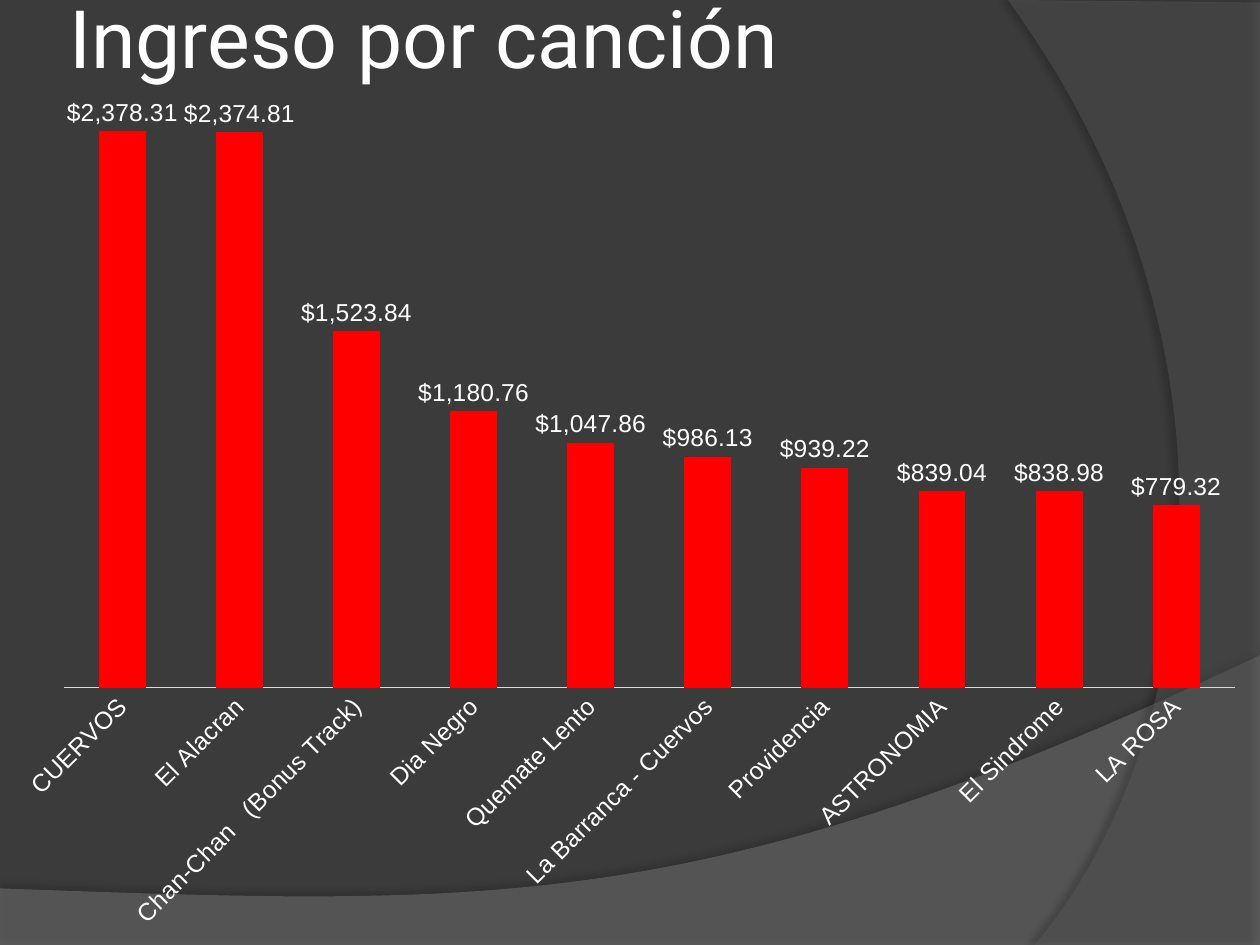
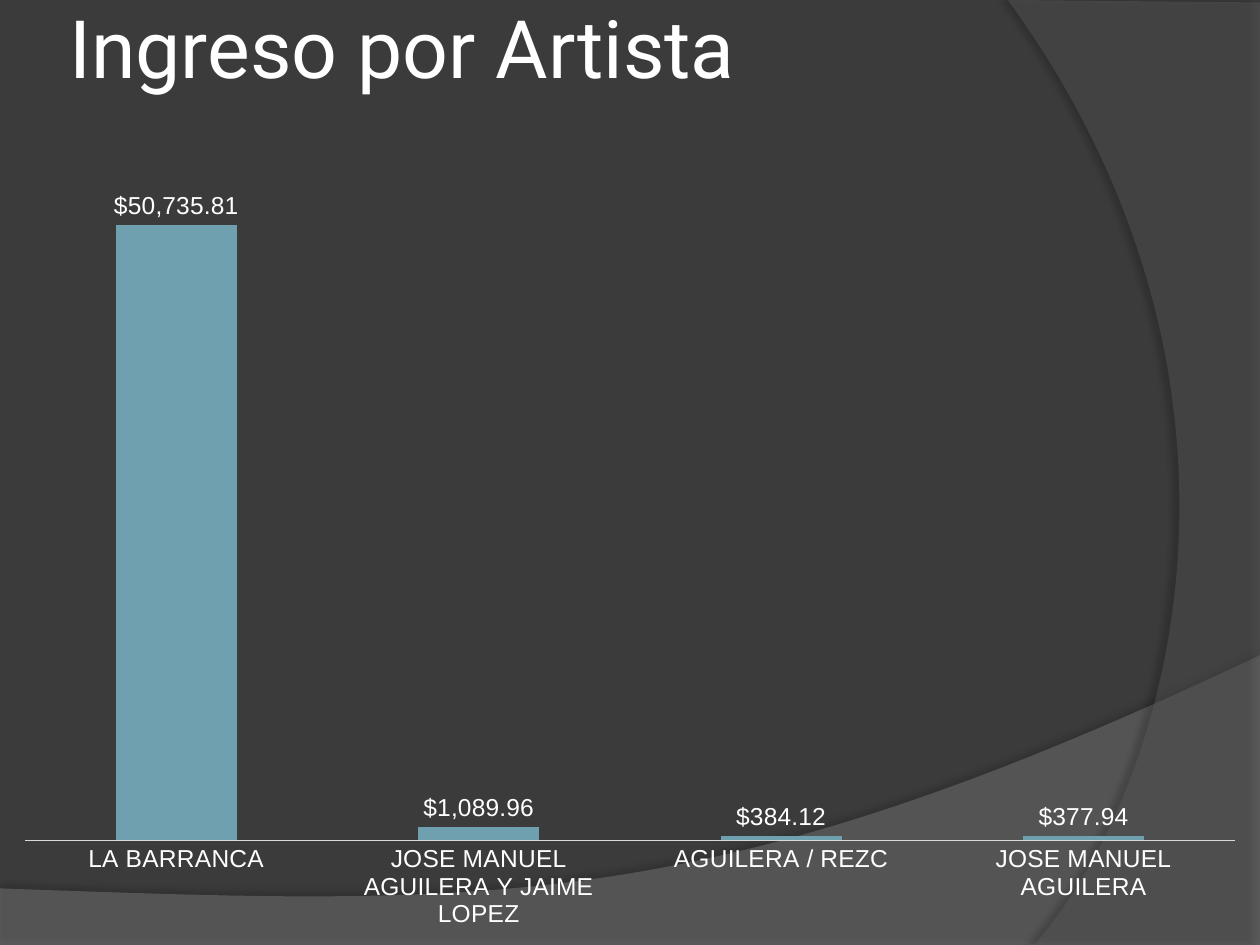
"""Build two income slides: one column chart by song and one by artist."""
from dataclasses import dataclass

from lxml import etree
from pptx import Presentation
from pptx import util as u
from pptx.chart.data import CategoryChartData
from pptx.dml.color import RGBColor
from pptx.enum import chart as ch, text
from pptx.oxml import ns

WIDTH, HEIGHT = 25.4, 19.05
BACK, WHITE, AXIS = "3B3B3B", "FFFFFF", "D9D9D9"
MONEY = '"$"#,##0.00'
CURVE_STEPS = 60
Point = tuple[float, float]


@dataclass(frozen=True)
class Band:
    """Translucent background band: corners, then a Bezier from the last corner."""
    corners: tuple[Point, ...]
    curve: tuple[Point, Point, Point]
    color: str
    opacity: int
    shadow_opacity: int
    shadow_distance: float
    shadow_angle: int


@dataclass(frozen=True)
class IncomeSlide:
    """Title and column chart of one slide, with lengths in centimetres."""
    title: str
    title_top: float
    title_width: float
    chart_top: float
    color: str
    axis_max: int
    label_angle: int
    income: dict[str, float]


BANDS = (
    Band(((0, 17.91), (0, 19.08), (25.4, 19.08), (25.4, 13.21)),
         ((14.2, 18.52), (9.93, 18.26), (0, 17.91)), "7F7F7F", 45, 35, 3.5, 270),
    Band(((25.4, 0.05), (25.4, 19.05), (20.85, 19.05)),
         ((23.75, 15.72), (25.86, 7.62), (20.32, 0)), "5E5E5E", 40, 45, 4, 180),
)

SLIDES = (
    IncomeSlide("Ingreso por canción", -0.86, 22.86, 1.73, "FF0000", 2500, -45, {
        "CUERVOS": 2378.31,
        "El Alacran": 2374.81,
        "Chan-Chan   (Bonus Track)": 1523.84,
        "Dia Negro": 1180.76,
        "Quemate Lento": 1047.86,
        "La Barranca - Cuervos": 986.13,
        "Providencia": 939.22,
        "ASTRONOMIA": 839.04,
        "El Sindrome": 838.98,
        "LA ROSA": 779.32,
    }),
    IncomeSlide("Ingreso por Artista", -0.66, 20.75, 1.93, "6EA0B0", 60000, 0, {
        "LA BARRANCA": 50735.81,
        "JOSE MANUEL AGUILERA Y JAIME LOPEZ": 1089.96,
        "AGUILERA / REZC": 384.12,
        "JOSE MANUEL AGUILERA": 377.94,
    }),
)


def rgb(color: str) -> RGBColor:
    """Turn a hex string into a colour."""
    return RGBColor.from_string(color)


def apply(target, **values) -> None:
    """Set each given attribute on the target."""
    for name, value in values.items():
        setattr(target, name, value)


def set_font(font, size: float, name: str) -> None:
    """Format a font in the shared text colour."""
    apply(font, size=u.Pt(size), name=name, bold=False)
    font.color.rgb = rgb(WHITE)


def add_alpha(color, percent: int) -> None:
    """Give a colour element its opacity."""
    etree.SubElement(color, ns.qn("a:alpha"), val=str(percent * 1000))


def bezier(start: Point, curve: tuple[Point, Point, Point]) -> list[Point]:
    """Sample a cubic Bezier at equal parameter steps."""
    points = []
    for i in range(1, CURVE_STEPS + 1):
        t = i / CURVE_STEPS
        weights = ((1 - t) ** 3, 3 * t * (1 - t) ** 2, 3 * t * t * (1 - t), t ** 3)
        points.append(tuple(sum(w * p[axis] for w, p in zip(weights, (start, *curve)))
                            for axis in (0, 1)))
    return points


def add_band(s, band: Band) -> None:
    """Draw a band behind the slide title."""
    outline = [*band.corners, *bezier(band.corners[-1], band.curve)]
    start, *rest = [(u.Cm(x), u.Cm(y)) for x, y in outline]
    builder = s.shapes.build_freeform(*start)
    builder.add_line_segments(rest, close=True)
    sp = builder.convert_to_shape()
    sp.fill.solid()
    sp.fill.fore_color.rgb = rgb(band.color)
    sp.line.fill.background()
    sp.shadow.inherit = False
    props = sp.element.spPr
    add_alpha(props.find(ns.qn("a:solidFill"))[0], band.opacity)
    shadow = etree.SubElement(
        props.find(ns.qn("a:effectLst")), ns.qn("a:outerShdw"),
        blurRad=str(u.Pt(4)), dist=str(u.Pt(band.shadow_distance)),
        dir=str(band.shadow_angle * 60000), algn="ctr", rotWithShape="0")
    add_alpha(etree.SubElement(shadow, ns.qn("a:srgbClr"), val="000000"),
              band.shadow_opacity)
    s.shapes.title.element.addprevious(sp.element)


def set_title(s, item: IncomeSlide) -> None:
    """Place and format the title placeholder."""
    sp = s.shapes.title
    apply(sp, left=u.Cm(1.27), top=u.Cm(item.title_top),
          width=u.Cm(item.title_width), height=u.Cm(3.18))
    tf = sp.text_frame
    inset = u.Cm(0.13)
    apply(tf, text=item.title, word_wrap=True, auto_size=text.MSO_AUTO_SIZE.NONE,
          vertical_anchor=text.MSO_ANCHOR.MIDDLE, margin_left=inset,
          margin_right=inset, margin_top=inset, margin_bottom=inset)
    p = tf.paragraphs[0]
    p.alignment = text.PP_ALIGN.LEFT
    set_font(p.runs[0].font, 46, "Roboto")


def add_income_chart(s, item: IncomeSlide) -> None:
    """Add the column chart with money labels above its columns."""
    data = CategoryChartData(number_format=MONEY)
    data.categories = list(item.income)
    data.add_series("Series 1", list(item.income.values()))
    chart = s.shapes.add_chart(
        ch.XL_CHART_TYPE.COLUMN_CLUSTERED, 0, u.Cm(item.chart_top),
        u.Cm(WIDTH), u.Cm(HEIGHT - item.chart_top), data).chart
    apply(chart, has_title=False, has_legend=False)
    set_font(chart.font, 10, "Arial")

    apply(chart.value_axis, minimum_scale=0, maximum_scale=item.axis_max,
          has_major_gridlines=False, visible=False)
    axis = chart.category_axis
    apply(axis, major_tick_mark=ch.XL_TICK_MARK.NONE,
          minor_tick_mark=ch.XL_TICK_MARK.NONE, has_major_gridlines=False)
    set_font(axis.tick_labels.font, 14, "Arial")
    axis.format.line.color.rgb = rgb(AXIS)
    axis.format.line.width = u.Pt(0.75)
    body = axis.tick_labels.font._element.getroottree().getroot().find(
        f".//{ns.qn('c:catAx')}/{ns.qn('c:txPr')}/{ns.qn('a:bodyPr')}")
    body.set("rot", str(item.label_angle * 60000))
    body.set("vert", "horz")

    plot = chart.plots[0]
    apply(plot, gap_width=150, overlap=-25, vary_by_categories=False,
          has_data_labels=True)
    apply(plot.data_labels, show_value=True, number_format=MONEY,
          number_format_is_linked=False,
          position=ch.XL_LABEL_POSITION.OUTSIDE_END)
    set_font(plot.data_labels.font, 14, "Arial")
    fill = plot.series[0].format.fill
    fill.solid()
    fill.fore_color.rgb = rgb(item.color)


def main() -> None:
    """Build and save the presentation."""
    prs = Presentation()
    apply(prs, slide_width=u.Cm(WIDTH), slide_height=u.Cm(HEIGHT))
    back = prs.slide_master.background.fill
    back.solid()
    back.fore_color.rgb = rgb(BACK)
    for item in SLIDES:
        s = prs.slides.add_slide(prs.slide_layouts[5])
        for band in BANDS:
            add_band(s, band)
        set_title(s, item)
        add_income_chart(s, item)
    prs.save("out.pptx")


if __name__ == "__main__":
    main()
